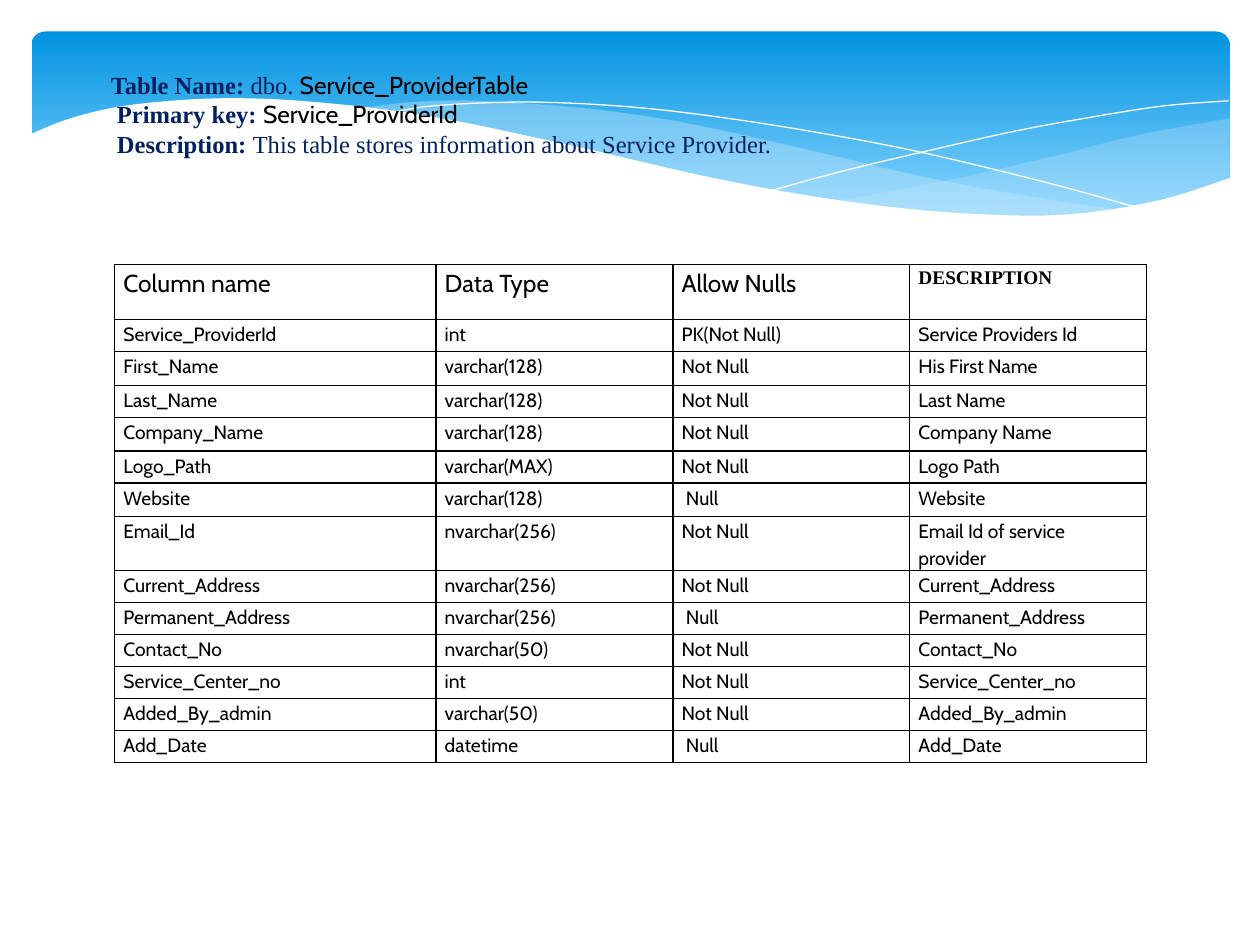
"""Build the service provider table slide with its wave banner."""
from dataclasses import dataclass
from itertools import chain
from typing import NamedTuple

from pptx import Presentation
from pptx.dml.color import RGBColor
from pptx.enum.shapes import MSO_SHAPE
from pptx.enum.text import MSO_ANCHOR, MSO_AUTO_SIZE, PP_ALIGN
from pptx.oxml.ns import qn
from pptx.util import Inches, Pt
from lxml.etree import SubElement

Point = tuple[float, float]
SERIF, SANS = "Times New Roman", "Cabin"
NAVY, BLACK, WHITE, PALE_BLUE = "002060", "000000", "FFFFFF", "C6E7FC"


@dataclass(frozen=True)
class Wave:
    """A filled outline of smooth curves, or a thin line when fill is empty."""
    curves: list[list[Point]]
    fill: str = ""
    opacity: int = 100


class Span(NamedTuple):
    """A stretch of heading text in one style."""
    text: str
    font: str = SERIF
    color: str = NAVY
    bold: bool = False


WAVES = [
    Wave([[(9.76, 0.94), (9.35, 1.01), (8.91, 1.1), (8.32, 1.25), (7.53, 1.43), (6.61, 1.6)],
          [(6.61, 1.6), (7.05, 1.65), (7.57, 1.7), (8.03, 1.72), (8.44, 1.71),
           (8.89, 1.66), (9.35, 1.56), (9.76, 1.41)]], PALE_BLUE, 29),
    Wave([[(8.93, 1.67), (8.37, 1.59), (7.41, 1.42), (6.29, 1.16), (5.41, 0.97),
           (4.65, 0.86), (3.8, 0.8), (3.28, 0.81), (2.86, 0.86)],
          [(2.86, 0.86), (3.62, 0.97), (4.49, 1.16), (5.3, 1.35), (6.01, 1.5), (6.8, 1.63),
           (7.48, 1.7), (8.07, 1.73), (8.57, 1.71), (8.93, 1.67)]], PALE_BLUE, 40),
    Wave([[(3.09, 0.9), (3.44, 0.84), (4.16, 0.81), (4.89, 0.84), (5.56, 0.91), (6.36, 1.03),
           (7.27, 1.2), (8.31, 1.45), (9.07, 1.66)]]),
    Wave([[(6.13, 1.51), (6.72, 1.35), (7.48, 1.17), (8.06, 1.04), (8.66, 0.93),
           (9.24, 0.84), (9.75, 0.8)]]),
    Wave([[(9.77, 1.41), (9.2, 1.59), (8.5, 1.7), (7.78, 1.7), (6.88, 1.62), (5.79, 1.44),
           (4.47, 1.14), (3.4, 0.92), (2.5, 0.81), (1.77, 0.78), (1.06, 0.83),
           (0.59, 0.93), (0.23, 1.07)], [(0.23, 2.24), (9.77, 2.24)]], WHITE),
]
HEADING = [
    [Span("Table Name: ", bold=True), Span("dbo. "), Span("Service_ProviderTable", SANS, BLACK)],
    [Span(" Primary key: ", bold=True), Span("Service_ProviderId", SANS, BLACK)],
    [Span(" Description: ", bold=True),
     Span("This table stores information about Service Provider.")],
]
ROWS = [
    ("Column name", "Data Type", "Allow Nulls", "DESCRIPTION"),
    ("Service_ProviderId", "int", "PK(Not Null)", "Service Providers Id"),
    ("First_Name", "varchar(128)", "Not Null", "His First Name"),
    ("Last_Name", "varchar(128)", "Not Null", "Last Name"),
    ("Company_Name", "varchar(128)", "Not Null", "Company Name"),
    ("Logo_Path", "varchar(MAX)", "Not Null", "Logo Path"),
    ("Website", "varchar(128)", " Null", "Website"),
    ("Email_Id", "nvarchar(256)", "Not Null", "Email Id of service provider"),
    ("Current_Address", "nvarchar(256)", "Not Null", "Current_Address"),
    ("Permanent_Address", "nvarchar(256)", " Null", "Permanent_Address"),
    ("Contact_No", "nvarchar(50)", "Not Null", "Contact_No"),
    ("Service_Center_no", "int", "Not Null", "Service_Center_no"),
    ("Added_By_admin", "varchar(50)", "Not Null", "Added_By_admin"),
    ("Add_Date", "datetime", " Null", "Add_Date"),
]
COLUMN_WIDTHS = [2.55, 1.88, 1.88, 1.88]
ROW_POINTS = [31.5] + [19.2 if row in (2, 4, 6) else 18.3 for row in range(1, len(ROWS))]


def rgb(color: str) -> RGBColor:
    """Turn a hex string into a colour."""
    return RGBColor.from_string(color)


def set_font(font, name: str, size: float, color: str, bold: bool) -> None:
    """Style a paragraph or span font."""
    font.name, font.size, font.bold = name, Pt(size), bold
    font.color.rgb = rgb(color)


def smooth(knots: list[Point], steps: int = 6) -> list[Point]:
    """Run a Catmull-Rom curve through the knots, keeping a pair straight."""
    if len(knots) == 2:
        return knots
    padded = [knots[0], *knots, knots[-1]]
    points = [knots[0]]
    for before, start, end, after in zip(padded, padded[1:], padded[2:], padded[3:]):
        for step in range(1, steps + 1):
            t = step / steps
            points.append(tuple(
                0.5 * (2 * b + (c - a) * t + (2 * a - 5 * b + 4 * c - d) * t ** 2
                       + (3 * b - a - 3 * c + d) * t ** 3)
                for a, b, c, d in zip(before, start, end, after)))
    return points


def draw_banner(slide) -> None:
    """Draw the rounded gradient panel behind the waves."""
    panel = slide.shapes.add_shape(MSO_SHAPE.ROUNDED_RECTANGLE, Inches(0.25), Inches(0.25),
                                   Inches(9.51), Inches(1.56))
    panel.adjustments[0] = 0.07
    panel.shadow.inherit = False
    panel.line.fill.background()
    panel.fill.gradient()
    panel.fill.gradient_angle = 270
    for stop, position, color in zip(panel.fill.gradient_stops, (0, 0.9), ("0293E0", "83D3FE")):
        stop.position = position
        stop.color.rgb = rgb(color)


def draw_wave(slide, wave: Wave) -> None:
    """Draw one wave as a freeform."""
    start, *others = [(Inches(x), Inches(y))
                      for x, y in chain.from_iterable(map(smooth, wave.curves))]
    builder = slide.shapes.build_freeform(*start)
    builder.add_line_segments(others, close=bool(wave.fill))
    shape = builder.convert_to_shape()
    shape.shadow.inherit = False
    if not wave.fill:
        shape.fill.background()
        shape.line.color.rgb = rgb(WHITE)
        shape.line.width = Pt(0)
        return
    shape.line.fill.background()
    shape.fill.solid()
    shape.fill.fore_color.rgb = rgb(wave.fill)
    if wave.opacity < 100:
        color = shape.element.spPr.find(qn("a:solidFill"))[0]
        SubElement(color, qn("a:alpha"), val=str(wave.opacity * 1000))


def write_heading(slide) -> None:
    """Fill the title placeholder with the table's name, key and purpose."""
    title = slide.shapes.title
    title.left, title.top, title.width, title.height = map(Inches, (0.53, 0.5, 8.25, 0.81))
    frame = title.text_frame
    frame.word_wrap = True
    frame.auto_size = MSO_AUTO_SIZE.NONE
    frame.vertical_anchor = MSO_ANCHOR.MIDDLE
    for number, spans in enumerate(HEADING):
        para = frame.add_paragraph() if number else frame.paragraphs[0]
        para.alignment = PP_ALIGN.LEFT
        properties = para._p.get_or_add_pPr()
        properties.set("marL", "0")
        properties.set("indent", str(Inches(0.25)))
        for span in spans:
            run = para.add_run()
            run.text = span.text
            set_font(run.font, span.font, 14, span.color, span.bold)


def draw_borders(cell) -> None:
    """Give a cell black lines on all four sides."""
    properties = cell._tc.get_or_add_tcPr()
    for position, side in enumerate(("a:lnL", "a:lnR", "a:lnT", "a:lnB")):
        line = SubElement(properties, qn(side), w=str(Pt(1)))
        fill = SubElement(line, qn("a:solidFill"))
        SubElement(fill, qn("a:srgbClr"), val=BLACK)
        properties.insert(position, line)


def draw_table(slide) -> None:
    """Draw the column listing."""
    table = slide.shapes.add_table(len(ROWS), len(COLUMN_WIDTHS), Inches(0.91), Inches(2.1),
                                   Inches(sum(COLUMN_WIDTHS)), Pt(sum(ROW_POINTS))).table
    table.first_row = table.horz_banding = False
    for column, width in zip(table.columns, COLUMN_WIDTHS):
        column.width = Inches(width)
    for number, (row, height, texts) in enumerate(zip(table.rows, ROW_POINTS, ROWS)):
        row.height = Pt(height)
        for cell, text in zip(row.cells, texts):
            cell.margin_left, cell.margin_right = Inches(0.07), Inches(0.08)
            cell.margin_top = cell.margin_bottom = 0
            cell.fill.background()
            draw_borders(cell)
            cell.text = text
            para = cell.text_frame.paragraphs[0]
            para.line_spacing = 1.15
            serif = text == "DESCRIPTION"
            size = 14 if number == 0 and not serif else 11
            set_font(para.font, SERIF if serif else SANS, size, BLACK, serif)


def main() -> None:
    """Build and save the deck."""
    deck = Presentation()
    deck.slide_width, deck.slide_height = Inches(10), Inches(7.5)
    slide = deck.slides.add_slide(deck.slide_layouts[5])
    draw_banner(slide)
    for wave in WAVES:
        draw_wave(slide, wave)
    write_heading(slide)
    slide.shapes._spTree.append(slide.shapes.title.element)
    draw_table(slide)
    deck.save("out.pptx")


if __name__ == "__main__":
    main()
